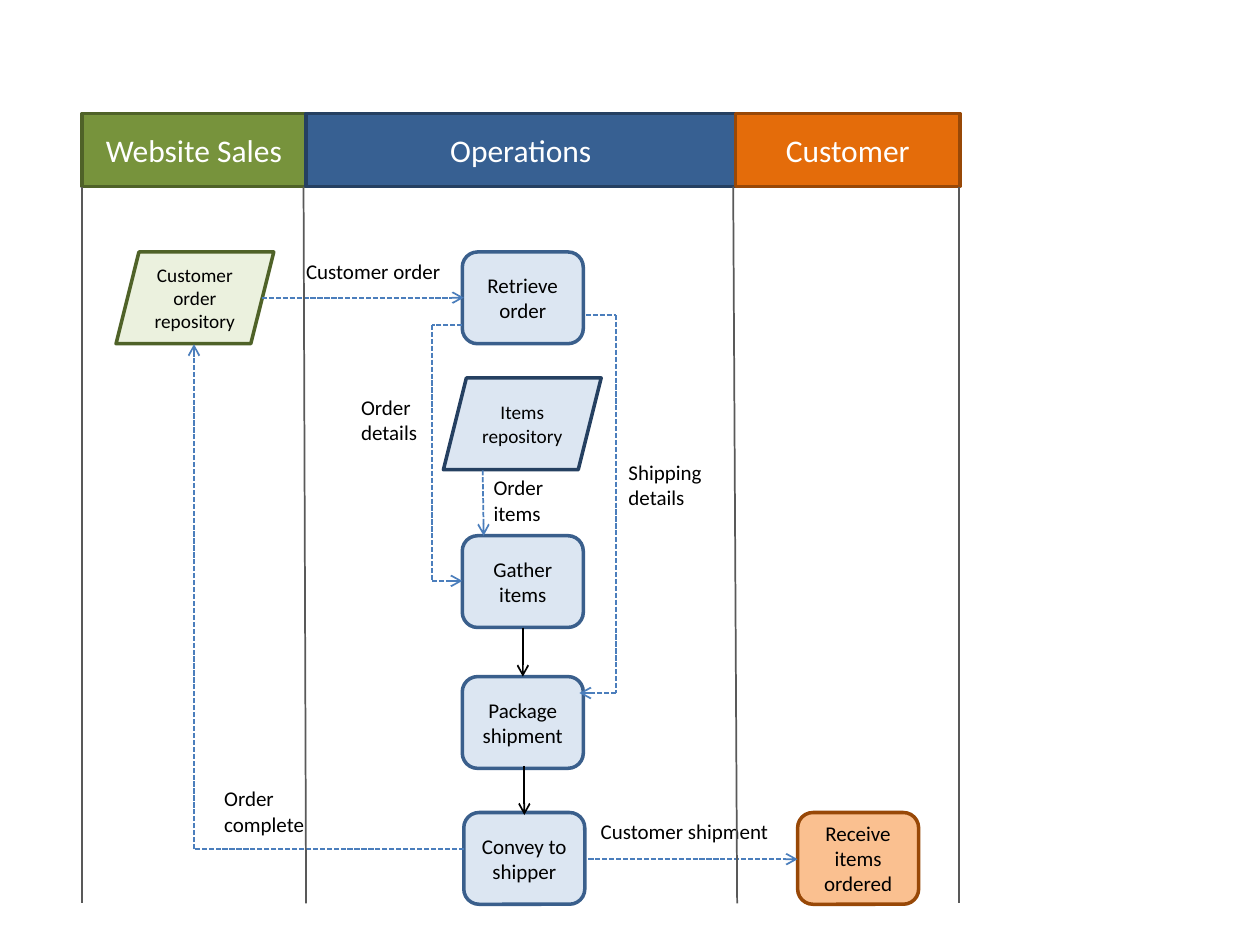
from itertools import pairwise

from lxml import etree
from pptx import Presentation
from pptx import util as u
from pptx.dml.color import RGBColor
from pptx.enum import dml, shapes, text
from pptx.oxml import ns

GREEN, DARK_GREEN, PALE_GREEN = (RGBColor.from_string(c) for c in ("77933C", "4F6228", "EBF1DE"))
BLUE, DARK_BLUE, PALE_BLUE = (RGBColor.from_string(c) for c in ("376092", "254061", "DCE6F2"))
ORANGE, DARK_ORANGE, PALE_ORANGE = (RGBColor.from_string(c) for c in ("E46C0A", "984807", "FAC090"))
STEP_BLUE, FLOW_BLUE = RGBColor(0x3A, 0x5F, 0x8C), RGBColor(0x4B, 0x7E, 0xBC)
GRAY, BLACK, WHITE = RGBColor(0x59, 0x59, 0x59), RGBColor(0, 0, 0), RGBColor(255, 255, 255)
KIND = shapes.MSO_SHAPE


def write(box, words, size, color, align):
    """Fill a shape with formatted text."""
    frame = box.text_frame
    frame.text = words
    for para in frame.paragraphs:
        para.alignment = align
        for span in para.runs:
            span.font.name, span.font.size = "Calibri", u.Pt(size)
            span.font.color.rgb = color


def add_box(page, kind, place, words, size, colors):
    """Add an outlined shape with centred text."""
    fill, edge, ink = colors
    box = page.shapes.add_shape(kind, *map(u.Cm, place))
    box.shadow.inherit = False
    box.fill.solid()
    box.fill.fore_color.rgb = fill
    box.line.color.rgb, box.line.width = edge, u.Pt(2)
    box.text_frame.vertical_anchor = text.MSO_ANCHOR.MIDDLE
    write(box, words, size, ink, text.PP_ALIGN.CENTER)


def add_line(page, start, end, color, dashed=False, arrow=False):
    """Add a straight line, optionally dashed or with an arrowhead."""
    line = page.shapes.add_connector(shapes.MSO_CONNECTOR.STRAIGHT, *map(u.Cm, start + end))
    line.line.color.rgb, line.line.width = color, u.Pt(1)
    if dashed:
        line.line.dash_style = dml.MSO_LINE.SQUARE_DOT
    if arrow:
        etree.SubElement(line.line._get_or_add_ln(), ns.qn("a:tailEnd"), type="arrow")
    etree.SubElement(line._element.spPr, ns.qn("a:effectLst"))


def add_headers(page, left, top, height):
    """Add the coloured lane titles side by side."""
    lanes = [("Website Sales", 4.52, GREEN, DARK_GREEN),
             ("Operations", 8.66, BLUE, DARK_BLUE),
             ("Customer", 4.52, ORANGE, DARK_ORANGE)]
    for words, width, fill, edge in lanes:
        add_box(page, KIND.RECTANGLE, (left, top, width, height), words, 18, (fill, edge, WHITE))
        left += width


def add_dividers(page, left, top, height):
    """Add the lane borders below the titles."""
    for upper, lower in [(0, 0), (4.47, 4.52), (13.13, 13.21), (17.68, 17.68)]:
        add_line(page, (left + upper, top), (left + lower, top + height), GRAY)


def add_nodes(page, left, top):
    """Add the process steps and repositories."""
    step, store = (KIND.ROUNDED_RECTANGLE, 2.44, 12), (KIND.PARALLELOGRAM, 3.18, 11)
    blue = (PALE_BLUE, STEP_BLUE, BLACK)
    nodes = [(store, 7.29, 3.86, "Items\nrepository", (PALE_BLUE, DARK_BLUE, BLACK)),
             (step, 7.67, 1.32, "Retrieve order", blue),
             (step, 7.67, 7.04, "Gather items", blue),
             (step, 7.67, 9.88, "Package shipment", blue),
             (step, 7.7, 12.62, "Convey to shipper", blue),
             (step, 14.43, 12.62, "Receive items ordered", (PALE_ORANGE, DARK_ORANGE, BLACK)),
             (store, 0.69, 1.32, "Customer order\nrepository", (PALE_GREEN, DARK_GREEN, BLACK))]
    for (kind, width, size), x, y, words, colors in nodes:
        add_box(page, kind, (left + x, top + y, width, 1.85), words, size, colors)


def add_flows(page, left, top):
    """Add the data flows and the step sequence as routes ending in arrows."""
    data, sequence = (FLOW_BLUE, True), (BLACK, False)
    routes = [(data, [(10.21, 13.56), (14.43, 13.56)]),
              (data, [(7.67, 2.79), (7.06, 2.79), (7.06, 7.95), (7.67, 7.95)]),
              (data, [(8.08, 5.72), (8.1, 7.04)]),
              (data, [(3.63, 2.24), (7.7, 2.24)]),
              (data, [(10.16, 2.59), (10.77, 2.59), (10.77, 10.21), (10.03, 10.21)]),
              (data, [(7.7, 13.36), (2.26, 13.36), (2.26, 3.18)]),
              (sequence, [(8.89, 8.89), (8.89, 9.88)]),
              (sequence, [(8.92, 11.68), (8.92, 12.67)])]
    for (color, dashed), route in routes:
        points = [(left + x, top + y) for x, y in route]
        for start, end in pairwise(points):
            add_line(page, start, end, color, dashed, end == points[-1])


def add_labels(page, left, top):
    """Add the names of the data flows."""
    labels = [("Customer order", 4.27, 1.32, 3.25), ("Order\ndetails", 5.38, 4.06, 1.65),
              ("Order\nitems", 8.05, 5.69, 1.52), ("Customer shipment", 10.21, 12.62, 3.94),
              ("Shipping\ndetails", 10.77, 5.38, 2.01), ("Order\ncomplete", 2.62, 11.96, 2.13)]
    for words, x, y, width in labels:
        height = 1.28 if "\n" in words else 0.77
        box = page.shapes.add_textbox(*map(u.Cm, (left + x, top + y, width, height)))
        box.text_frame.word_wrap = False
        box.text_frame.auto_size = text.MSO_AUTO_SIZE.SHAPE_TO_FIT_TEXT
        write(box, words, 12, BLACK, text.PP_ALIGN.LEFT)


def add_swimlanes(page, left, top, height):
    """Build the swimlane diagram inside the given box."""
    header = 1.47
    body = top + header
    add_nodes(page, left, body)
    add_flows(page, left, body)
    add_labels(page, left, body)
    add_headers(page, left, top, header)
    add_dividers(page, left, body, height - header)


deck = Presentation()
deck.slide_width, deck.slide_height = u.Cm(25.4), u.Cm(19.05)
add_swimlanes(deck.slides.add_slide(deck.slide_layouts[6]), 1.65, 2.29, 15.92)
deck.save("out.pptx")
